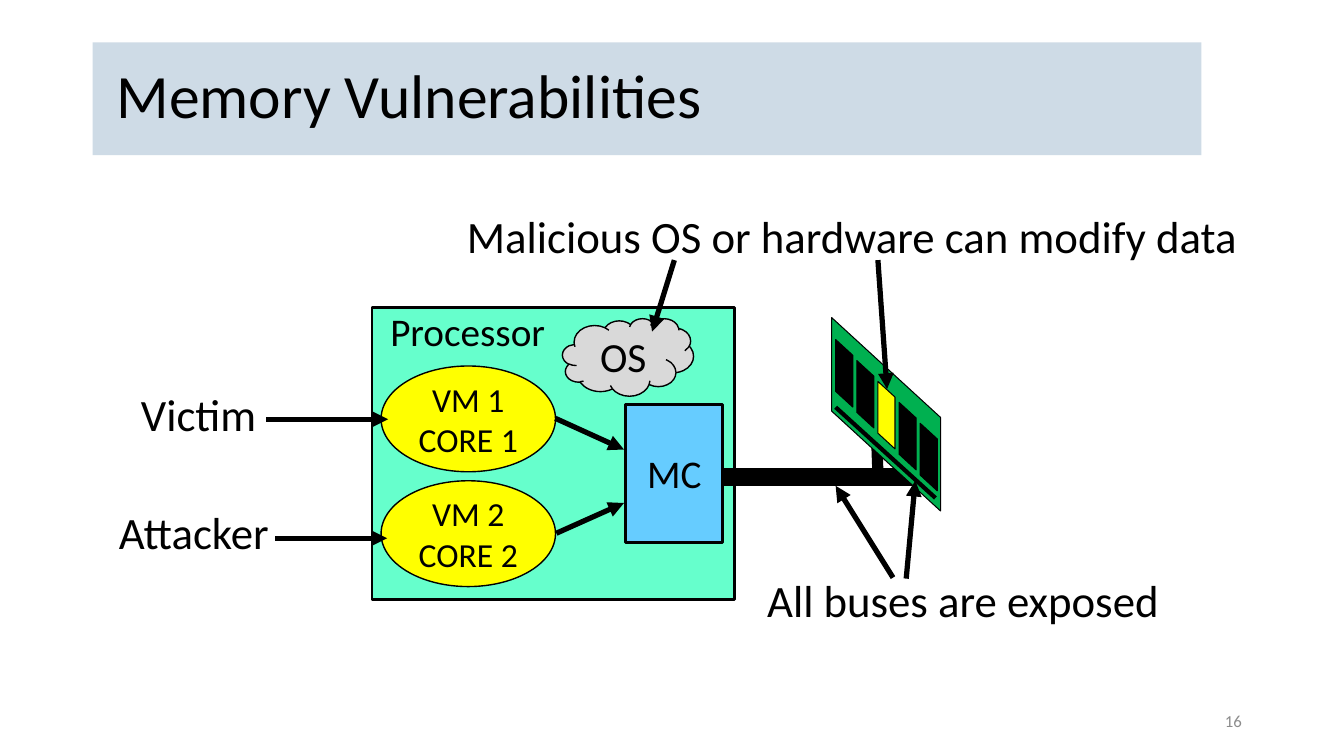
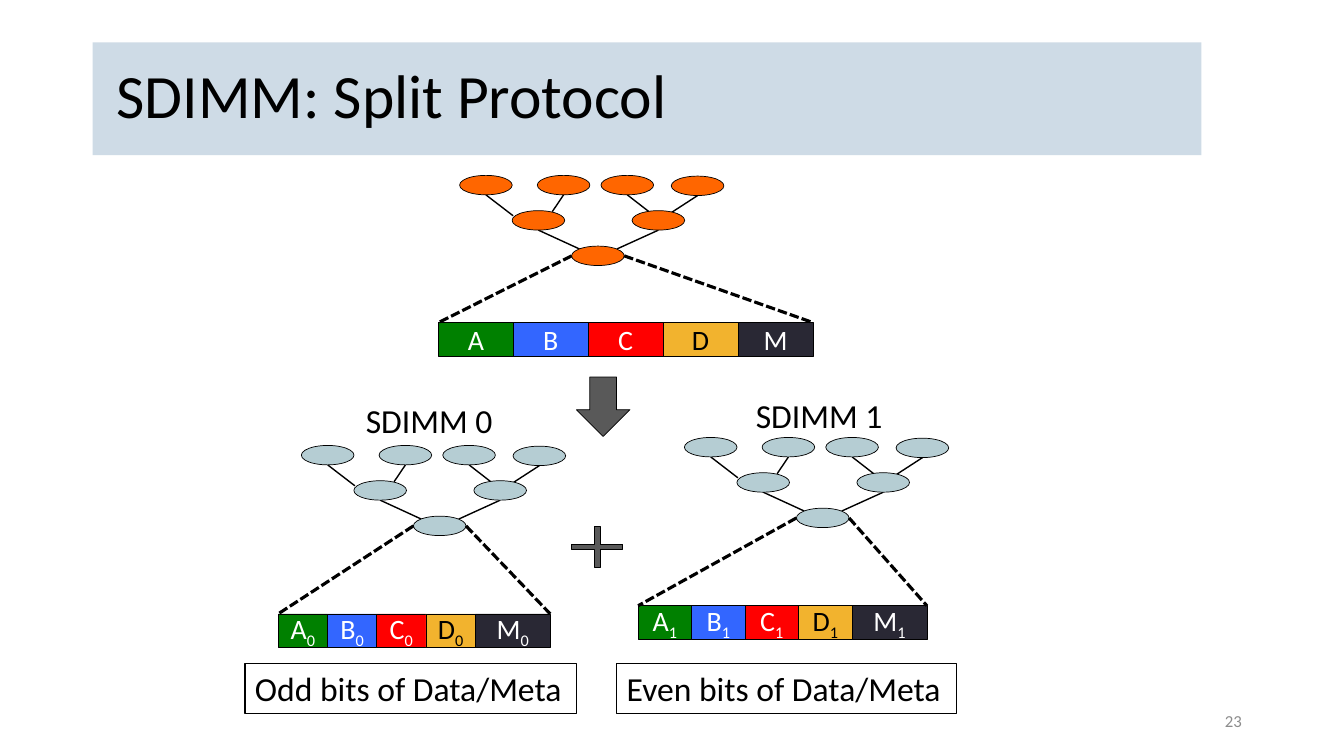
"""Build two slides on memory vulnerabilities and the SDIMM split protocol."""
from lxml import etree
from pptx import Presentation
from pptx.dml.color import RGBColor
from pptx.enum.dml import MSO_LINE
from pptx.enum.shapes import MSO_CONNECTOR, MSO_SHAPE
from pptx.enum.text import MSO_ANCHOR, PP_ALIGN
from pptx.oxml.ns import qn
from pptx.util import Pt

RECTANGLE, OVAL, CLOUD = MSO_SHAPE.RECTANGLE, MSO_SHAPE.OVAL, MSO_SHAPE.CLOUD
PARALLELOGRAM = MSO_SHAPE.PARALLELOGRAM
DOWN_ARROW, PLUS = MSO_SHAPE.DOWN_ARROW, MSO_SHAPE.MATH_PLUS
STRAIGHT, DASHED = MSO_CONNECTOR.STRAIGHT, MSO_LINE.SQUARE_DOT
LEFT, CENTER, RIGHT = PP_ALIGN.LEFT, PP_ALIGN.CENTER, PP_ALIGN.RIGHT
TOP, MIDDLE = MSO_ANCHOR.TOP, MSO_ANCHOR.MIDDLE

FONT = "Calibri"
BLACK = RGBColor(0x00, 0x00, 0x00)
WHITE = RGBColor(0xFF, 0xFF, 0xFF)
BAND_BLUE = RGBColor(0xCE, 0xDB, 0xE6)
NUMBER_GRAY = RGBColor(0x8C, 0x8C, 0x8C)
MINT = RGBColor(0x66, 0xFF, 0xCC)
SKY = RGBColor(0x66, 0xCC, 0xFF)
YELLOW = RGBColor(0xFF, 0xFF, 0x00)
BOARD_GREEN = RGBColor(0x00, 0xB0, 0x50)
CLOUD_GRAY = RGBColor(0xD9, 0xD9, 0xD9)
ORANGE = RGBColor(0xFF, 0x66, 0x00)
PALE_TEAL = RGBColor(0xB5, 0xCD, 0xD3)
DARK_GRAY = RGBColor(0x59, 0x59, 0x59)
GREEN = RGBColor(0x00, 0x80, 0x00)
BLUE = RGBColor(0x33, 0x66, 0xFF)
RED = RGBColor(0xFF, 0x00, 0x00)
GOLD = RGBColor(0xF2, 0xB3, 0x2E)
INK = RGBColor(0x29, 0x28, 0x34)

TITLE_BOX = (66.2, 30.2, 792, 80.6)
NUMBER_BOX = (678.2, 500.4, 216, 28.8)

VIRTUAL_MACHINES = [(["VM 1", "CORE 1"], 261.4), (["VM 2", "CORE 2"], 343.4)]
MEMORY_LABELS = [
    ("Malicious OS or hardware can modify data", (323.3, 145.4, 571, 46), 32, CENTER),
    ("All buses are exposed", (539.3, 405.4, 297.4, 46), 32, CENTER),
    ("Processor", (270.7, 216, 126.7, 41), 28, CENTER),
    ("Victim", (93.6, 277.2, 144, 54), 32, LEFT),
    ("Attacker", (77.8, 361.4, 144, 54), 32, LEFT),
]
ARROWS = [
    ((637.9, 412.6), (596.9, 347)),
    ((647.3, 413.3), (653.8, 343.4)),
    ((396.7, 298.8), (445.7, 321.1)),
    ((397.4, 380.9), (445.7, 359.3)),
    ((196.6, 384.5), (276.5, 384.5)),
    ((190.1, 299.5), (277.2, 299.5)),
    ((627.1, 185.8), (633.6, 277.9)),
    ((481.7, 185.8), (465.8, 236.9)),
]
BUSES = [((516.2, 340.6), (651.6, 340.6), 12.75), ((626.4, 319), (627.1, 337.7), 8)]
CHIP_COLORS = [BLACK, BLACK, YELLOW, BLACK, BLACK]
CHIP_START, CHIP_STEP = (578.9, 260.6), (15.1, 14.95)
SKEW = 0.917

NODE_WIDTH, NODE_HEIGHT = 37.6, 13.9
NODES = [(0, 0), (55.5, 0), (101, 0), (151.2, 0.5), (37.5, 25.2), (123.2, 25.2), (80, 50.5)]
ROOT = NODES[-1]
EDGES = [
    (0, (38.2, 28.8)), (1, (66.2, 25.9)), (2, (139, 28.8)), (3, (151.2, 26.6)),
    (4, (85.7, 52.6)), (5, (112.3, 52.6)),
]
CELLS = [("A", GREEN, WHITE), ("B", BLUE, WHITE), ("C", RED, WHITE),
         ("D", GOLD, BLACK), ("M", INK, WHITE)]
META_WIDTH, CELL_HEIGHT = 53.5, 23.9
TREES = [
    {"at": (328.3, 125.3), "color": ORANGE, "bar": (313.2, 230.4), "cell": 53.5, "index": ""},
    {"at": (215.3, 318.2), "color": PALE_TEAL, "bar": (198.7, 438.5), "cell": 35.2, "index": "0"},
    {"at": (488.9, 312.5), "color": PALE_TEAL, "bar": (455.8, 432.7), "cell": 38.2, "index": "1"},
]
TREE_LABELS = [("SDIMM 0", (254.2, 282.2, 108, 36)), ("SDIMM 1", (532.8, 278.6, 108, 36))]
CAPTIONS = [("Odd bits of Data/Meta", (175, 473.8, 236.9, 36)),
            ("Even bits of Data/Meta", (440.6, 473.8, 242.6, 36))]


def points(values):
    return [Pt(value) for value in values]


def write(shape, lines, size, color=BLACK, align=CENTER, anchor=MIDDLE, inset=7.2, wrap=False):
    frame = shape.text_frame
    frame.word_wrap = wrap
    frame.vertical_anchor = anchor
    frame.margin_left = frame.margin_right = Pt(inset)
    for number, line in enumerate(lines):
        paragraph = frame.add_paragraph() if number else frame.paragraphs[0]
        paragraph.add_run().text = line
        paragraph.alignment = align
        paragraph.font.name = FONT
        paragraph.font.size = Pt(size)
        paragraph.font.color.rgb = color
    return frame.paragraphs[0]


def add_label(slide, text, box, size, align=CENTER, color=BLACK, anchor=TOP):
    label = slide.shapes.add_textbox(*points(box))
    return write(label, [text], size, color, align, anchor, wrap=align != CENTER)


def add_box(slide, kind, box, fill=None, line_width=None):
    shape = slide.shapes.add_shape(kind, *points(box))
    shape.shadow.inherit = False
    if fill is None:
        shape.fill.background()
    else:
        shape.fill.solid()
        shape.fill.fore_color.rgb = fill
    if line_width is None:
        shape.line.fill.background()
    else:
        shape.line.color.rgb = BLACK
        shape.line.width = Pt(line_width)
    return shape


def add_line(slide, start, end, width, dash=None, arrow=False):
    connector = slide.shapes.add_connector(STRAIGHT, *points((*start, *end)))
    connector.line.color.rgb = BLACK
    connector.line.width = Pt(width)
    if dash is not None:
        connector.line.dash_style = dash
    properties = connector._element.spPr
    if arrow:
        etree.SubElement(properties.find(qn("a:ln")), qn("a:tailEnd"), type="triangle")
    etree.SubElement(properties, qn("a:effectLst"))


def add_skewed(slide, box, fill):
    shape = add_box(slide, PARALLELOGRAM, box, fill, 0.75)
    shape.adjustments[0] = SKEW
    shape.rotation = 90


def add_slide(presentation, title, number):
    slide = presentation.slides.add_slide(presentation.slide_layouts[6])
    band = add_box(slide, RECTANGLE, TITLE_BOX, BAND_BLUE)
    write(band, [title], 44, align=LEFT, inset=17, wrap=True).line_spacing = 0.9
    add_label(slide, number, NUMBER_BOX, 12, RIGHT, NUMBER_GRAY, MIDDLE)
    return slide


def build_memory_slide(presentation):
    slide = add_slide(presentation, "Memory Vulnerabilities", "16")
    add_box(slide, RECTANGLE, (265.7, 219.6, 259.2, 208.8), MINT, 2)
    controller = add_box(slide, RECTANGLE, (447.1, 288.7, 69.1, 98.6), SKY, 2)
    write(controller, ["MC"], 28)
    for start, end, width in BUSES:
        add_line(slide, start, end, width)
    add_skewed(slide, (563.8, 257, 138.2, 77.8), BOARD_GREEN)
    for index, color in enumerate(CHIP_COLORS):
        left, top = (first + index * step for first, step in zip(CHIP_START, CHIP_STEP))
        add_skewed(slide, (left, top, 48.2, 12.2), color)
    add_line(slide, (596.9, 290.9), (668.2, 355.7), 3)
    for lines, top in VIRTUAL_MACHINES:
        machine = add_box(slide, OVAL, (272.2, top, 124.6, 75.6), YELLOW, 1)
        write(machine, lines, 24)
    for text, box, size, align in MEMORY_LABELS:
        paragraph = add_label(slide, text, box, size, align)
        if align == LEFT:
            paragraph.line_spacing = 0.9
    cloud = add_box(slide, CLOUD, (401.8, 227.5, 93.6, 55.4), CLOUD_GRAY, 1)
    write(cloud, ["OS"], 29.6, inset=0)
    for start, end in ARROWS:
        add_line(slide, start, end, 3.75, arrow=True)


def add_tree(slide, at, color):
    left, top = at
    for child, (x, y) in EDGES:
        child_left, child_top = NODES[child]
        bottom = (left + child_left + NODE_WIDTH / 2, top + child_top + NODE_HEIGHT)
        add_line(slide, bottom, (left + x, top + y), 1)
    for x, y in NODES:
        add_box(slide, OVAL, (left + x, top + y, NODE_WIDTH, NODE_HEIGHT), color, 0.5)


def add_bar(slide, at, cell_width, index):
    left, top = at
    for letter, fill, color in CELLS:
        width = META_WIDTH if letter == "M" else cell_width
        cell = add_box(slide, RECTANGLE, (left, top, width, CELL_HEIGHT), fill, 0.5)
        paragraph = write(cell, [letter], 20, color, inset=0)
        if index:
            subscript = paragraph.add_run()
            subscript.text = index
            subscript.font._element.set("baseline", "-25000")
        left += width
    return left


def build_split_slide(presentation):
    slide = add_slide(presentation, "SDIMM: Split Protocol", "23")
    for tree in TREES:
        add_tree(slide, tree["at"], tree["color"])
        bar_left, bar_top = tree["bar"]
        bar_right = add_bar(slide, tree["bar"], tree["cell"], tree["index"])
        root_left = tree["at"][0] + ROOT[0]
        root_middle = tree["at"][1] + ROOT[1] + NODE_HEIGHT / 2
        for root_x, bar_x in ((root_left, bar_left), (root_left + NODE_WIDTH, bar_right)):
            add_line(slide, (root_x, root_middle), (bar_x, bar_top), 2.25, DASHED)
    add_box(slide, DOWN_ARROW, (411.8, 269.3, 38.2, 42.5), DARK_GRAY, 0.5)
    plus = add_box(slide, PLUS, (401.8, 370.8, 49.7, 39.6), DARK_GRAY, 0.5)
    plus.adjustments[0] = 0.096
    for text, box in TREE_LABELS:
        add_label(slide, text, box, 24, LEFT)
    for text, box in CAPTIONS:
        caption = add_box(slide, RECTANGLE, box, line_width=0.75)
        write(caption, [text], 24, align=LEFT, anchor=TOP, wrap=True)


def main():
    presentation = Presentation()
    presentation.slide_width = Pt(960)
    presentation.slide_height = Pt(540)
    build_memory_slide(presentation)
    build_split_slide(presentation)
    presentation.save("out.pptx")


if __name__ == "__main__":
    main()
